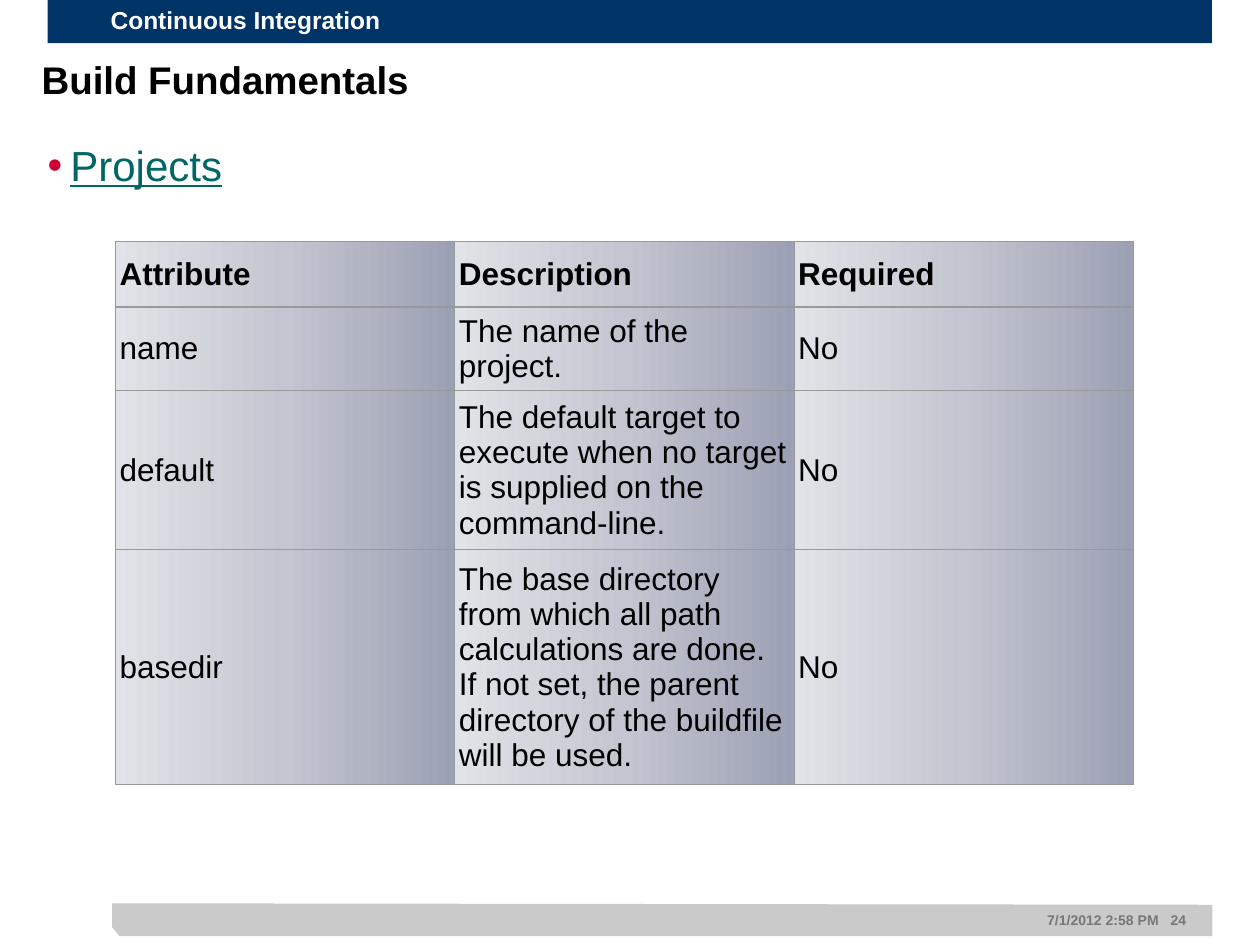
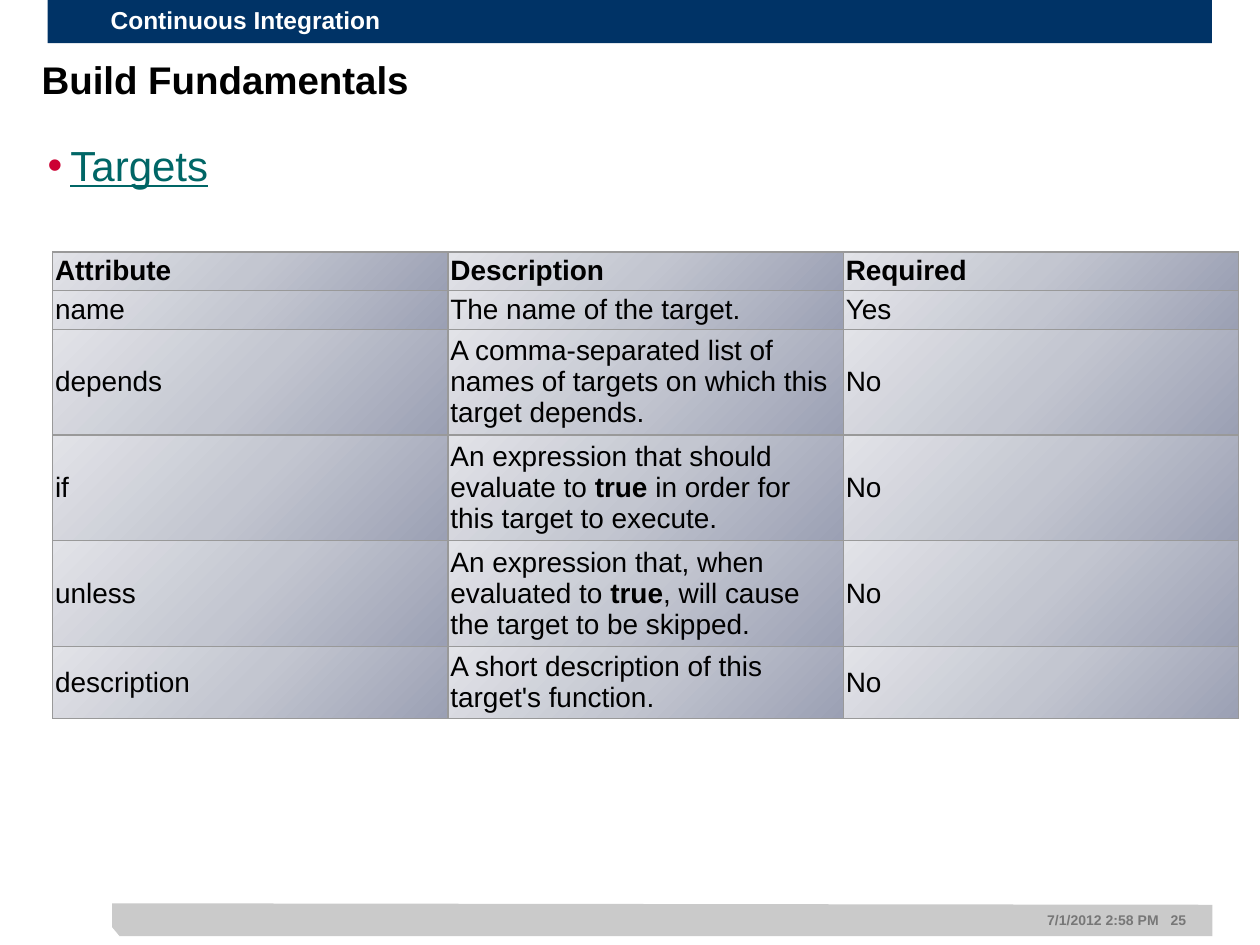
from lxml import etree
from pptx import Presentation
from pptx.dml.color import RGBColor
from pptx.enum.shapes import MSO_SHAPE
from pptx.enum.text import MSO_ANCHOR, PP_ALIGN
from pptx.oxml.ns import qn
from pptx.util import Cm, Pt

RECTANGLE = MSO_SHAPE.RECTANGLE
MIDDLE = MSO_ANCHOR.MIDDLE
LEFT = PP_ALIGN.LEFT
FONT = "Arial"
COLORS = {
    "band": "003366",
    "band_text": "FFFFFF",
    "footer": "CACACA",
    "footer_text": "777777",
    "text": "000000",
    "topic": "006666",
    "bullet": "CC0033",
    "border": "999999",
}
CELL_GRADIENT = [(0, "9BA0B4"), (50, "C3C6D0"), (100, "E2E3E8")]
FOOTER_OUTLINE = [(226, 1869), (241, 1887), (2444, 1887), (2444, 1824)]
HEADER = ("Attribute", "Description", "Required")

PAGES = [
    {
        "number": 24, "topic": "Projects", "left": 2.33, "top": 4.87,
        "column": 6.84, "size": 18, "inset": 0.08, "angle": 180,
        "height": 10.92, "heights": [1.32, 0.91, 2.26, 2.92],
        "rows": [
            HEADER,
            ("name", "The name of the project.", "No"),
            ("default", "The default target to execute when no target is "
             "supplied on the command-line.", "No"),
            ("basedir", "The base directory from which all path calculations "
             "are done.  If not set, the parent directory of the buildfile "
             "will be used.", "No"),
        ],
    },
    {
        "number": 25, "topic": "Targets", "left": 1.06, "top": 5.08,
        "column": 7.97, "size": 16, "inset": 0.05, "angle": 225,
        "height": 9.42, "heights": [0.41, 0.41, 0.99, 0.99, 0.99, 0.69],
        "rows": [
            HEADER,
            ("name", "The name of the target.", "Yes"),
            ("depends", "A comma-separated list of names of targets on which "
             "this target depends.", "No"),
            ("if", "An expression that should evaluate to *true* in order "
             "for this target to execute.", "No"),
            ("unless", "An expression that, when evaluated to *true*, will "
             "cause the target to be skipped.", "No"),
            ("description", "A short description of this target's function.",
             "No"),
        ],
    },
]


def style_font(font, size, color, bold=False):
    font.name = FONT
    font.size = Pt(size)
    font.bold = bold
    font.color.rgb = RGBColor.from_string(COLORS[color])


def add_line(slide, text, box, size, color, bold, spacing=1.0):
    frame = slide.shapes.add_textbox(*[Cm(length) for length in box]).text_frame
    frame.word_wrap = True
    frame.margin_left = frame.margin_right = 0
    frame.margin_top = frame.margin_bottom = 0
    frame.text = text
    paragraph = frame.paragraphs[0]
    paragraph.line_spacing = spacing
    for run in paragraph.runs:
        style_font(run.font, size, color, bold)
    return frame


prs = Presentation()
prs.slide_width = Cm(25.4)
prs.slide_height = Cm(19.05)

for page in PAGES:
    slide = prs.slides.add_slide(prs.slide_layouts[6])

    outline = slide.shapes.build_freeform(226, 1821, scale=Cm(0.01))
    outline.add_line_segments(FOOTER_OUTLINE, close=True)
    footer = outline.convert_to_shape()
    band = slide.shapes.add_shape(RECTANGLE, Cm(0.96), 0, Cm(23.47), Cm(0.87))
    for bar, color in ((footer, "footer"), (band, "band")):
        bar.shadow.inherit = False
        bar.fill.solid()
        bar.fill.fore_color.rgb = RGBColor.from_string(COLORS[color])
        bar.line.fill.background()

    stamp = add_line(slide, f"7/1/2012 2:58 PM\t{page['number']}",
                     (16.2, 18.37, 8.03, 0.34), 8, "footer_text", True)
    stamp.margin_left = Cm(4.91)
    stamp.vertical_anchor = MIDDLE
    stamp_props = stamp.paragraphs[0]._p.get_or_add_pPr()
    tabs = etree.SubElement(stamp_props, qn("a:tabLst"))
    etree.SubElement(tabs, qn("a:tab"), pos=str(Cm(2.49)), algn="l")

    course = band.text_frame
    course.margin_left = Cm(1.27)
    course.vertical_anchor = MIDDLE
    course.text = "Continuous Integration"
    course.paragraphs[0].alignment = LEFT
    course.paragraphs[0].line_spacing = 0.9
    style_font(course.paragraphs[0].runs[0].font, 14, "band_text", True)

    add_line(slide, "Build Fundamentals", (0.84, 1.27, 23.5, 1.7),
             22, "text", True, 0.85)

    topic = add_line(slide, page["topic"], (0.96, 2.97, 23.5, 3.33),
                     24, "topic", False, 0.85).paragraphs[0]
    topic.runs[0].font.underline = True
    topic_props = topic._p.get_or_add_pPr()
    topic_props.set("marL", str(Cm(0.46)))
    topic_props.set("indent", str(-Cm(0.46)))
    bullet_color = etree.SubElement(topic_props, qn("a:buClr"))
    etree.SubElement(bullet_color, qn("a:srgbClr"), val=COLORS["bullet"])
    etree.SubElement(topic_props, qn("a:buFont"), typeface=FONT)
    etree.SubElement(topic_props, qn("a:buChar"), char="•")

    table_frame = slide.shapes.add_table(
        len(page["rows"]), len(HEADER), Cm(page["left"]), Cm(page["top"]),
        Cm(page["column"] * len(HEADER)), Cm(page["height"]))
    attributes = table_frame.table
    attributes.horz_banding = False
    for column in attributes.columns:
        column.width = Cm(page["column"])

    for r, (height, entries) in enumerate(zip(page["heights"], page["rows"])):
        attributes.rows[r].height = Cm(height)
        for c, entry in enumerate(entries):
            cell = attributes.cell(r, c)
            cell.vertical_anchor = MIDDLE
            cell.margin_left = cell.margin_right = Cm(page["inset"])
            cell.margin_top = cell.margin_bottom = Cm(page["inset"])
            for i, part in enumerate(entry.split("*")):
                run = cell.text_frame.paragraphs[0].add_run()
                run.text = part
                style_font(run.font, page["size"], "text", r == 0 or i == 1)

            cell_props = cell._tc.get_or_add_tcPr()
            for side in ("lnL", "lnR", "lnT", "lnB"):
                border = etree.SubElement(cell_props, qn(f"a:{side}"),
                                          w=str(Pt(0.75)))
                paint = etree.SubElement(border, qn("a:solidFill"))
                etree.SubElement(paint, qn("a:srgbClr"), val=COLORS["border"])
            gradient = etree.SubElement(cell_props, qn("a:gradFill"))
            stops = etree.SubElement(gradient, qn("a:gsLst"))
            for position, shade in CELL_GRADIENT:
                stop = etree.SubElement(stops, qn("a:gs"),
                                        pos=str(position * 1000))
                etree.SubElement(stop, qn("a:srgbClr"), val=shade)
            etree.SubElement(gradient, qn("a:lin"),
                             ang=str(page["angle"] * 60000), scaled="1")
    table_frame.height = Cm(page["height"])

prs.save("out.pptx")
